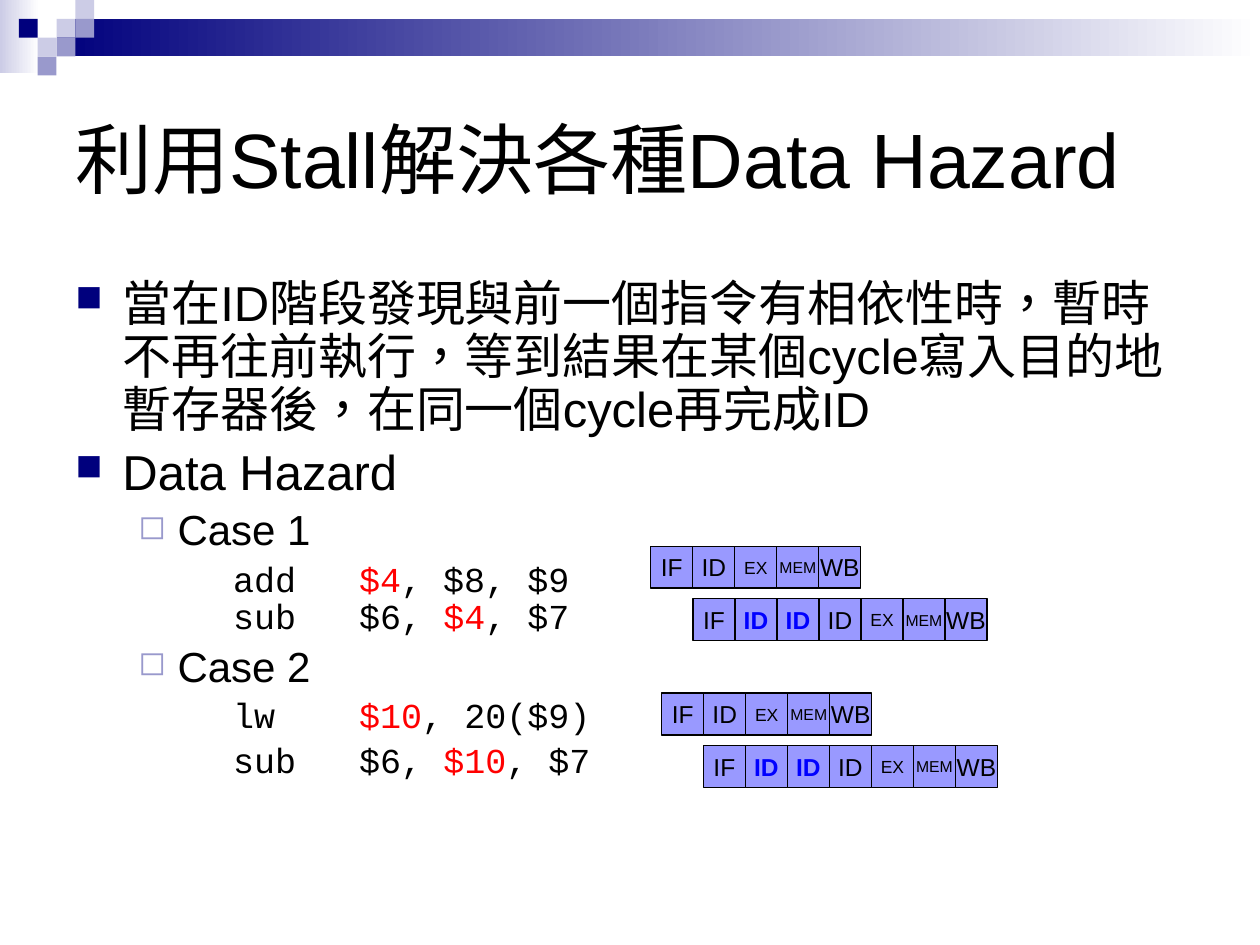
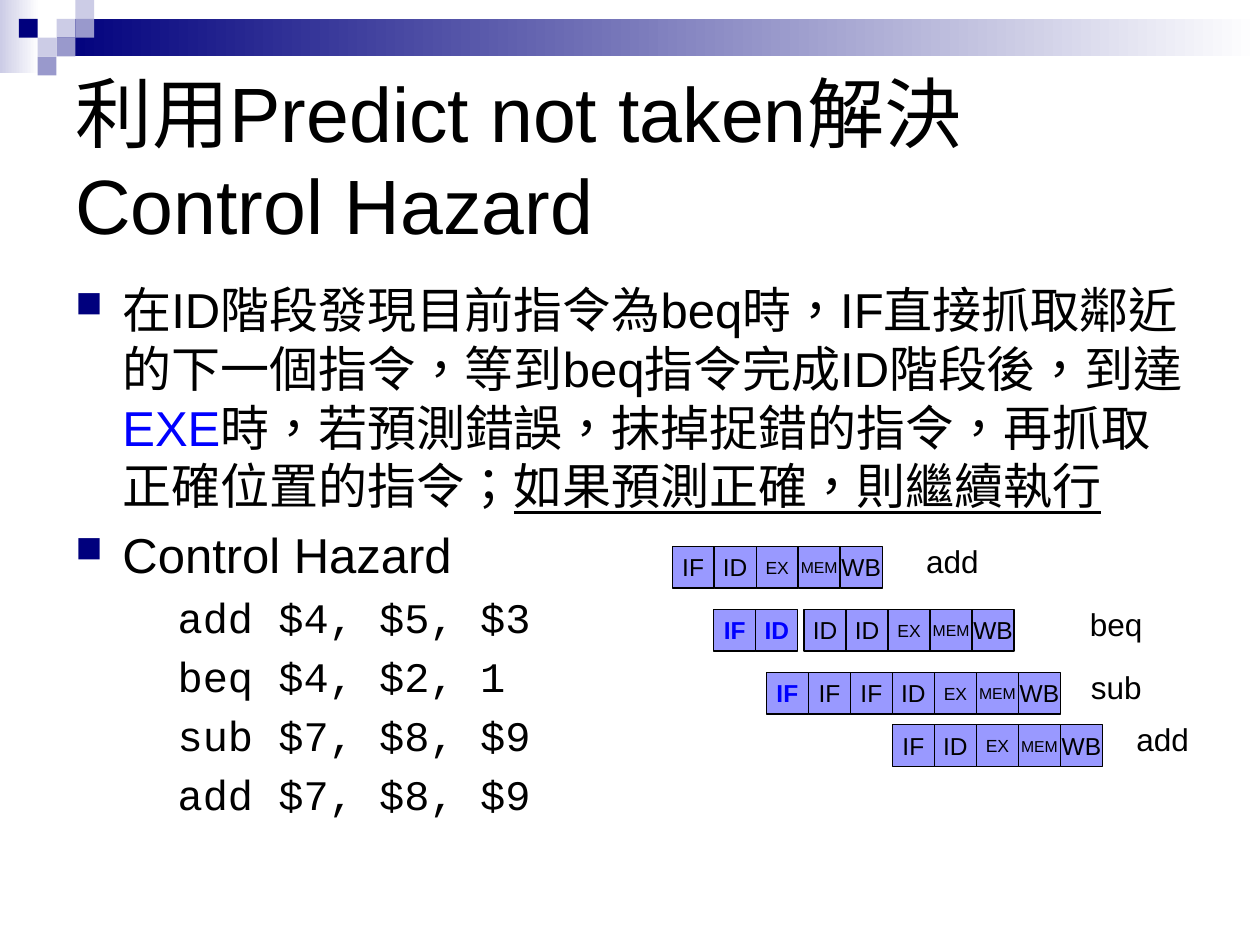
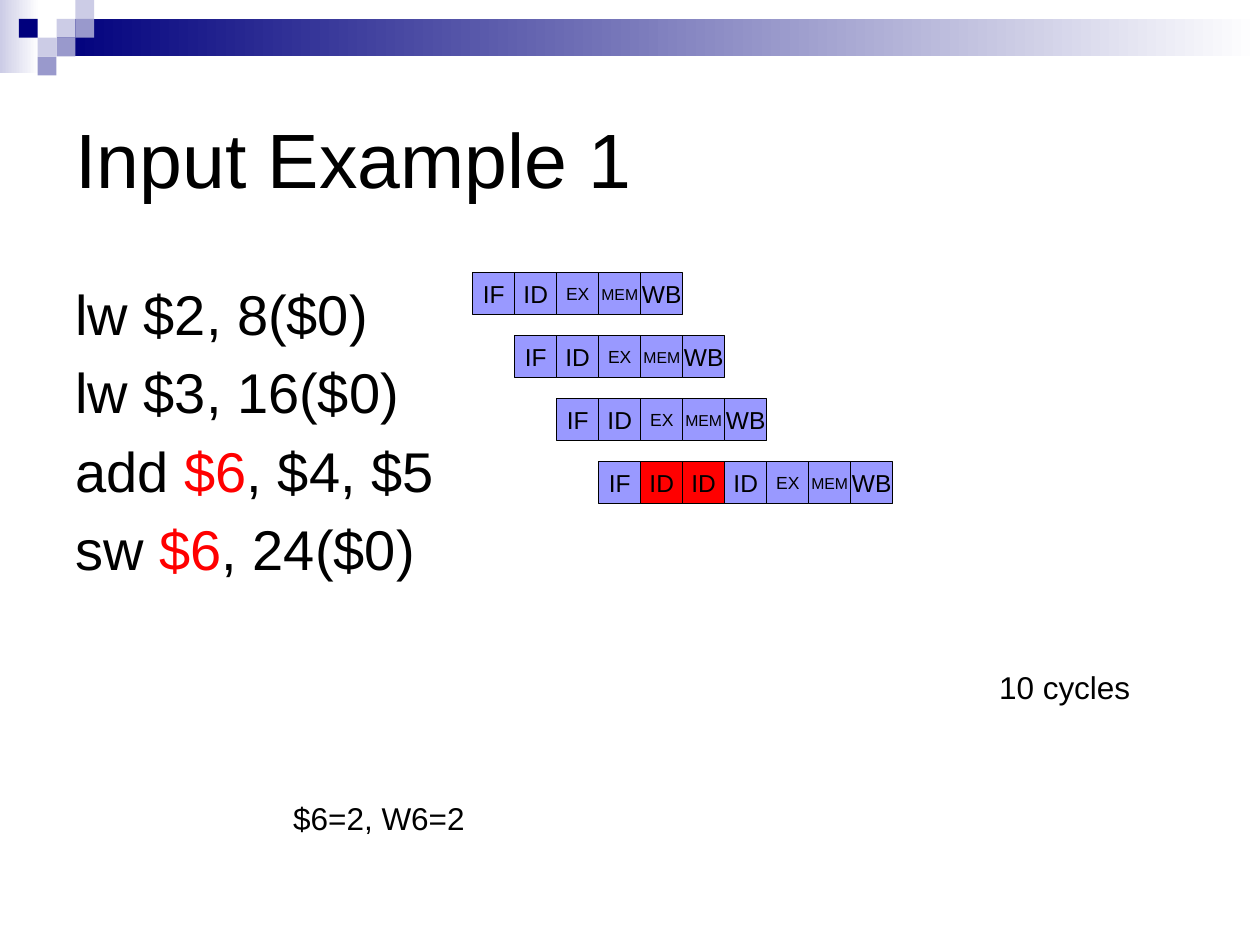
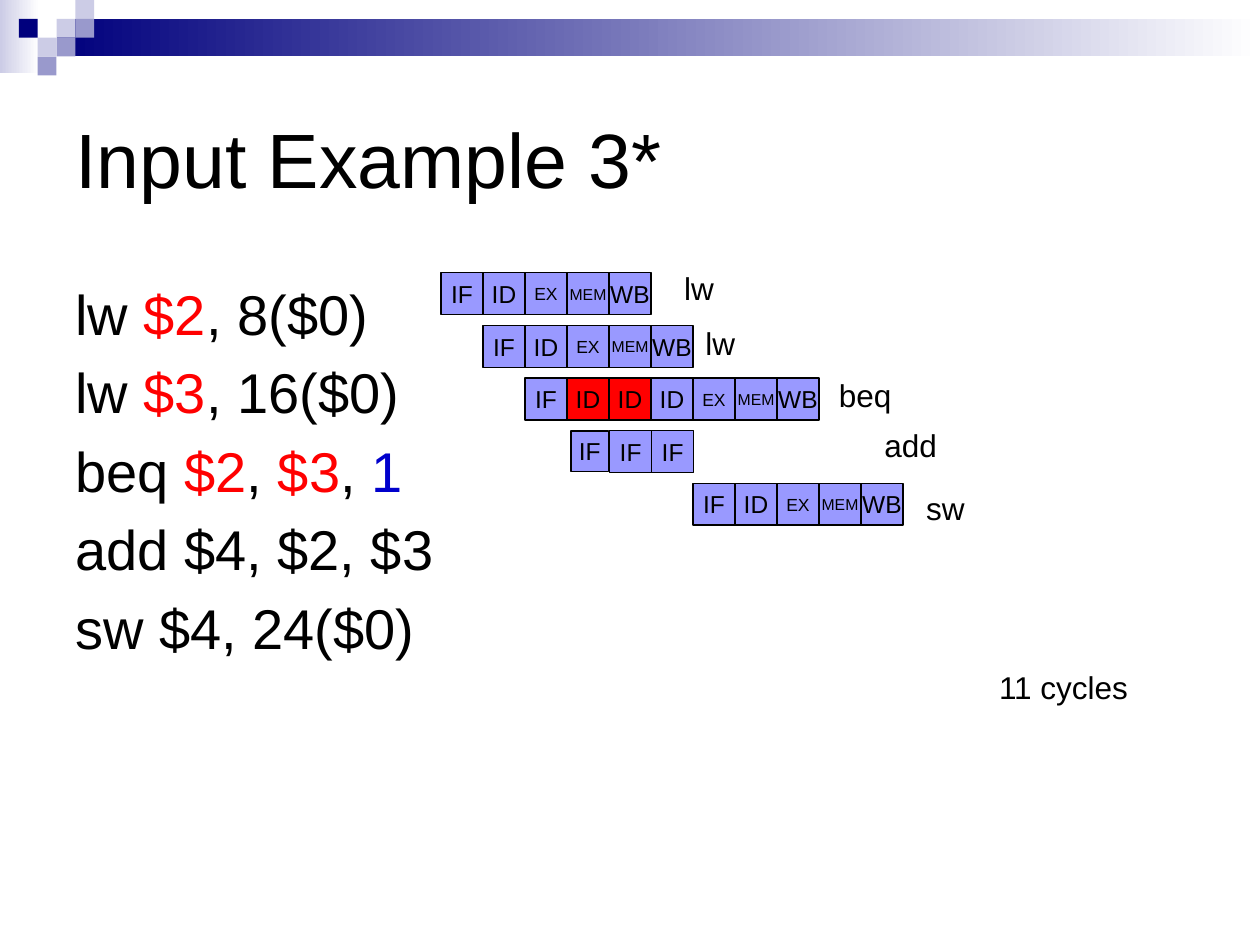
from dataclasses import dataclass
from typing import NamedTuple

import lxml.etree
import pptx
import pptx.dml.color
import pptx.enum.shapes
import pptx.enum.text
import pptx.oxml.ns
import pptx.util

Cm = pptx.util.Cm

# Shared colours, fonts and measures (cm)
BLACK, WHITE, RED, BLUE = "000000", "FFFFFF", "FF0000", "0000FF"
NAVY, PALE, LILAC, STAGE = "00007D", "CCCCE6", "9999CC", "9999FF"
SANS, MONO = "Arial", "Courier New"
WIDE, HIGH = 25.4, 19.05
CELL = WIDE / 30
TILE = 0.38
TAB = 2.54
FULL = "IF ID EX MEM WB"
STALL = "IF ID! ID! ID EX MEM WB"
SIZES = {"EX": 10, "MEM": 9}


class Box(NamedTuple):
    left: float
    top: float
    wide: float
    high: float


class Bit(NamedTuple):
    text: str
    tint: str = BLACK
    under: bool = False


@dataclass(frozen=True)
class Style:
    size: float
    font: str = SANS
    level: int = 0
    left: float = 0.95
    hang: float = 0.95
    mark: str = ""
    tint: str = NAVY
    scale: int = 75


class Para(NamedTuple):
    style: Style
    bits: list[Bit]


@dataclass(frozen=True)
class Row:
    """Stages in a line: * is bold blue text, ! is a red cell."""
    left: float
    top: float
    stages: str = FULL
    wide: float = CELL
    high: float = CELL


class Label(NamedTuple):
    text: str
    left: float
    top: float
    wide: float


@dataclass(frozen=True)
class Page:
    title: str
    paras: list[Para]
    rows: list[Row]
    labels: list[Label]
    lead: float = 1.0


POINT = Style(28, mark="■")
CASE = Style(24, level=1, left=2.06, hang=0.79, mark="◻", tint=LILAC, scale=80)
CODE = Style(20, MONO, 2, 3.18, 0.64)
STEP = Style(24, MONO, 1, 2.06, 0.79)
PLAIN = Style(32)

TITLE = Box(1.27, 1.27, 22.86, 3.81)
BODY = Box(1.27, 5.51, 22.86, 10.8)
BANDS = [
    (Box(0, 0, 0.79, 1.48), PALE),
    (Box(1.14, TILE, WIDE - 1.14, 0.76), NAVY),
]
TILES = [(3, 1, PALE), (4, 0, PALE), (4, 1, LILAC), (2, 2, PALE),
         (1, 1, NAVY), (3, 2, LILAC), (2, 3, LILAC)]


def shade(code: str) -> pptx.dml.color.RGBColor:
    return pptx.dml.color.RGBColor.from_string(code)


def write(para, bit: Bit, size: float, font: str = SANS, bold: bool = False) -> None:
    for place, part in enumerate(bit.text.split("\n")):
        if place:
            para.add_line_break()
        run = para.add_run()
        run.text = part
        run.font.size = pptx.util.Pt(size)
        run.font.name = font
        run.font.color.rgb = shade(bit.tint)
        run._r.get_or_add_rPr().set("lang", "zh-TW")
        if bold:
            run.font.bold = True
        if bit.under:
            run.font.underline = True


def block(slide, box: Box, tint: str):
    shape = slide.shapes.add_shape(
        pptx.enum.shapes.MSO_SHAPE.RECTANGLE, *map(Cm, box))
    shape.shadow.inherit = False
    shape.fill.solid()
    shape.fill.fore_color.rgb = shade(tint)
    shape.line.fill.background()
    return shape


def frame(slide, box: Box, wrap: bool = True):
    text = slide.shapes.add_textbox(*map(Cm, box)).text_frame
    text.word_wrap = wrap
    return text


def header(slide) -> None:
    """Fading bands and the stair of tiles."""
    for box, tint in BANDS:
        fill = block(slide, box, tint).fill
        fill.gradient()
        fill.gradient_angle = 0
        for stop, code in zip(fill.gradient_stops, (tint, WHITE)):
            stop.color.rgb = shade(code)
    for col, line, tint in TILES:
        block(slide, Box(col * TILE, line * TILE, TILE, TILE), tint)


def layout(para, style: Style, lead: float) -> None:
    """Indents, tabs, spacing and bullet of one paragraph."""
    props = para._p.get_or_add_pPr()
    para.level = style.level
    props.set("marL", str(Cm(style.left)))
    props.set("indent", str(-Cm(style.hang)))
    props.set("defTabSz", str(Cm(TAB)))
    props.set("hangingPunct", "1")

    def add(host, tag: str, **attrs: str):
        return lxml.etree.SubElement(host, pptx.oxml.ns.qn("a:" + tag), attrs)

    add(add(props, "spcBef"), "spcPct", val="20000")
    if style.mark:
        add(add(props, "buClr"), "srgbClr", val=style.tint)
        add(props, "buSzPct", val=str(style.scale * 1000))
        add(props, "buChar", char=style.mark)
    else:
        add(props, "buNone")
    if style is CODE:
        tabs = add(props, "tabLst")
        add(tabs, "tab", pos=str(Cm(style.left + TAB)), algn="l")
    para.line_spacing = lead


def fill_body(slide, page: Page) -> None:
    text = frame(slide, BODY)
    for place, (style, bits) in enumerate(page.paras):
        para = text.add_paragraph() if place else text.paragraphs[0]
        layout(para, style, page.lead)
        for bit in bits:
            write(para, bit, style.size, style.font)


def draw_row(slide, row: Row) -> None:
    for place, stage in enumerate(row.stages.split()):
        name = stage.rstrip("*!")
        bold = stage.endswith("*")
        box = Box(row.left + place * row.wide, row.top, row.wide, row.high)
        cell = block(slide, box, RED if stage.endswith("!") else STAGE)
        cell.line.color.rgb = shade(BLACK)
        cell.line.width = pptx.util.Pt(0.75)
        text = cell.text_frame
        text.word_wrap = False
        text.vertical_anchor = pptx.enum.text.MSO_ANCHOR.MIDDLE
        para = text.paragraphs[0]
        para.alignment = pptx.enum.text.PP_ALIGN.CENTER
        write(para, Bit(name, BLUE if bold else BLACK), SIZES.get(name, 14), bold=bold)


def draw_label(slide, label: Label) -> None:
    text = frame(slide, Box(label.left, label.top, label.wide, 1.02), False)
    text.auto_size = pptx.enum.text.MSO_AUTO_SIZE.SHAPE_TO_FIT_TEXT
    write(text.paragraphs[0], Bit(label.text), 18)


def draw_page(deck, page: Page) -> None:
    slide = deck.slides.add_slide(deck.slide_layouts[6])
    header(slide)
    title = frame(slide, TITLE)
    title.vertical_anchor = pptx.enum.text.MSO_ANCHOR.MIDDLE
    write(title.paragraphs[0], Bit(page.title), 44)
    fill_body(slide, page)
    for row in page.rows:
        draw_row(slide, row)
    for label in page.labels:
        draw_label(slide, label)


# Slide content
DATA = Page(
    "利用Stall解決各種Data Hazard",
    [
        Para(POINT, [Bit("當在ID階段發現與前一個指令有相依性時，暫時不再往前執行，"
                         "等到結果在某個cycle寫入目的地暫存器後，在同一個cycle再完成ID")]),
        Para(POINT, [Bit("Data Hazard")]),
        Para(CASE, [Bit("Case 1")]),
        Para(CODE, [Bit("\tadd\t"), Bit("$4", RED), Bit(", $8, $9\nsub\t$6, "),
                    Bit("$4", RED), Bit(", $7")]),
        Para(CASE, [Bit("Case 2")]),
        Para(CODE, [Bit("\tlw\t"), Bit("$10", RED), Bit(", 20($9)")]),
        Para(CODE, [Bit(" \tsub\t$6, "), Bit("$10", RED), Bit(", $7")]),
    ],
    [
        Row(13.12, 11.01),
        Row(13.97, 12.07, "IF ID* ID* ID EX MEM WB"),
        Row(13.34, 13.97),
        Row(14.18, 15.03, "IF ID* ID* ID EX MEM WB"),
    ],
    [],
    lead=0.9,
)

BRANCH = Page(
    "利用Predict not taken解決Control Hazard",
    [
        Para(POINT, [
            Bit("在ID階段發現目前指令為beq時，IF直接抓取鄰近的下一個指令，"
                "等到beq指令完成ID階段後，到達"),
            Bit("EXE", BLUE),
            Bit("時，若預測錯誤，抹掉捉錯的指令，再抓取正確位置的指令；"),
            Bit("如果預測正確，則繼續執行", under=True),
        ]),
        Para(POINT, [Bit("Control Hazard")]),
        Para(STEP, [Bit("\tadd $4, $5, $3")]),
        Para(STEP, [Bit("\tbeq $4, $2, 1")]),
        Para(STEP, [Bit("\tsub $7, $8, $9")]),
        Para(STEP, [Bit(" \tadd $7, $8, $9")]),
    ],
    [
        Row(13.55, 11.01),
        Row(14.39, 12.28, "IF* ID*"),
        Row(16.21, 12.28, "ID ID EX MEM WB"),
        Row(15.45, 13.55, "IF* IF IF ID EX MEM WB"),
        Row(17.99, 14.61),
    ],
    [
        Label("add", 18.42, 10.8, 1.6),
        Label("beq", 21.72, 12.07, 1.6),
        Label("sub", 21.74, 13.34, 1.6),
        Label("add", 22.66, 14.4, 1.6),
    ],
)

FIRST = Page(
    "Input Example 1",
    [
        Para(PLAIN, [Bit("lw $2, 8($0)")]),
        Para(PLAIN, [Bit("lw $3, 16($0)")]),
        Para(PLAIN, [Bit("add "), Bit("$6", RED), Bit(", $4, $5")]),
        Para(PLAIN, [Bit("sw "), Bit("$6", RED), Bit(", 24($0)")]),
    ],
    [Row(9.53 + place * CELL, 5.5 + place * 1.27, stages)
     for place, stages in enumerate([FULL, FULL, FULL, STALL])],
    [
        Label("10 cycles", 19.89, 13.34, 3.18),
        Label("$6=2, W6=2", 5.66, 15.98, 4),
    ],
)

THIRD = Page(
    "Input Example 3*",
    [
        Para(PLAIN, [Bit("lw "), Bit("$2", RED), Bit(", 8($0)")]),
        Para(PLAIN, [Bit("lw "), Bit("$3", RED), Bit(", 16($0)")]),
        Para(PLAIN, [Bit("beq "), Bit("$2", RED), Bit(", "), Bit("$3", RED),
                     Bit(", "), Bit("1", "0000CC")]),
        Para(PLAIN, [Bit("add $4, $2, $3")]),
        Para(PLAIN, [Bit("sw $4, 24($0)")]),
    ],
    [
        *(Row(8.89 + place * CELL, 5.5 + place * 1.06, stages)
          for place, stages in enumerate([FULL, FULL, STALL])),
        Row(11.51, 8.69, "IF", 0.76, 0.81),
        Row(12.29, 8.68, "IF IF"),
        Row(13.97, 9.74),
    ],
    [
        Label("lw", 13.54, 5.29, 1.15),
        Label("lw", 13.97, 6.4, 1.15),
        Label("beq", 16.66, 7.45, 1.6),
        Label("add", 17.58, 8.46, 1.6),
        Label("sw", 18.42, 9.73, 1.33),
        Label("11 cycles", 19.89, 13.34, 3.18),
    ],
)


def main() -> None:
    deck = pptx.Presentation()
    deck.slide_width, deck.slide_height = Cm(WIDE), Cm(HIGH)
    for page in (DATA, BRANCH, FIRST, THIRD):
        draw_page(deck, page)
    deck.save("out.pptx")


if __name__ == "__main__":
    main()
